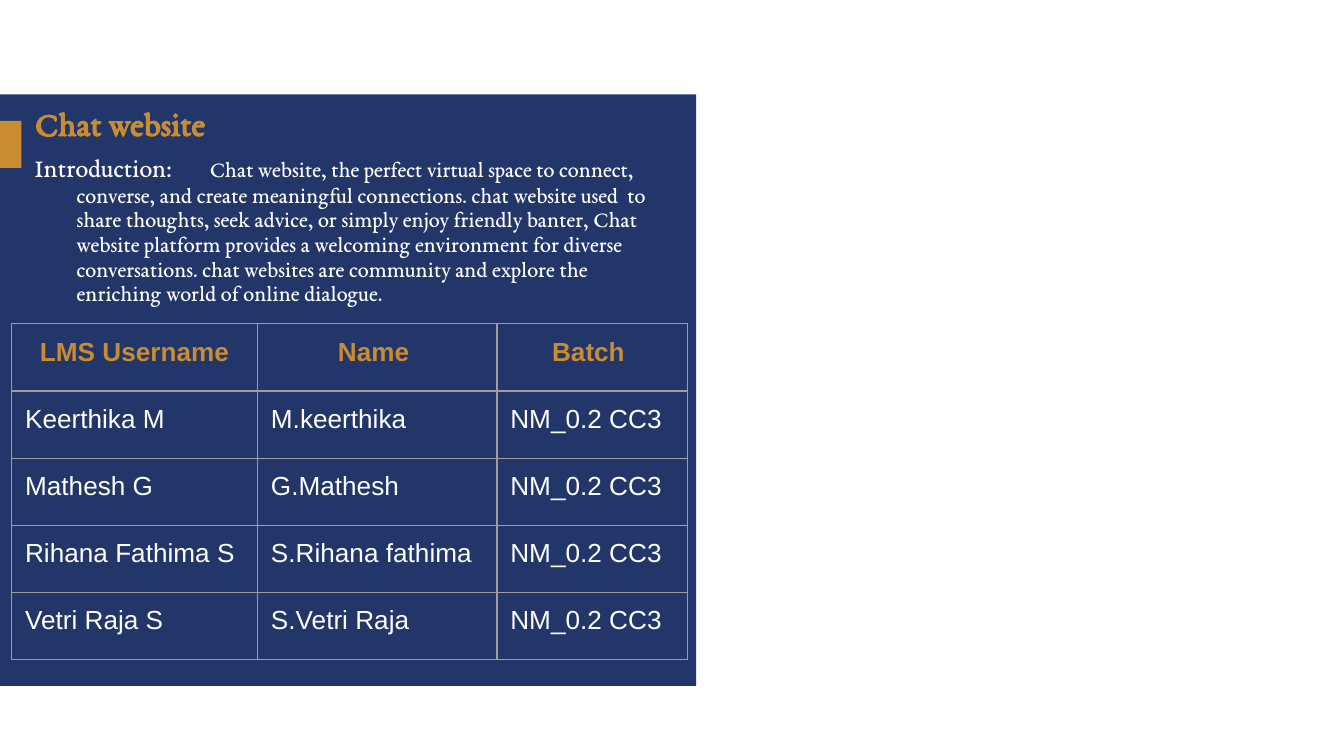
"""Build the chat website introduction slide."""
from dataclasses import dataclass

from lxml import etree
from pptx import Presentation
from pptx.dml.color import RGBColor
from pptx.enum.shapes import MSO_SHAPE
from pptx.enum.text import MSO_ANCHOR, MSO_AUTO_SIZE, PP_ALIGN
from pptx.oxml.ns import qn
from pptx.util import Pt

RECTANGLE = MSO_SHAPE.RECTANGLE
MIDDLE, TOP = MSO_ANCHOR.MIDDLE, MSO_ANCHOR.TOP
NO_AUTOFIT = MSO_AUTO_SIZE.NONE
LEFT, CENTER = PP_ALIGN.LEFT, PP_ALIGN.CENTER
TITLE_ONLY = 5
BORDER_SIDES = ("a:lnL", "a:lnR", "a:lnT", "a:lnB")

INTRODUCTION = (
    "Chat website, the perfect virtual space to connect, converse, and create "
    "meaningful connections. chat website used  to share thoughts, seek advice, "
    "or simply enjoy friendly banter, Chat website platform provides a welcoming "
    "environment for diverse conversations. chat websites are community and "
    "explore the enriching world of online dialogue."
)
BATCH = "NM_0.2 CC3"
MEMBERS = [
    ("LMS Username", "Name ", "Batch "),
    ("Keerthika M", "M.keerthika", BATCH),
    ("Mathesh G", "G.Mathesh", BATCH),
    ("Rihana Fathima S", "S.Rihana fathima", BATCH),
    ("Vetri Raja S", "S.Vetri Raja", BATCH),
]


@dataclass(frozen=True)
class Theme:
    """Colours, fonts and type sizes."""

    navy: str = "223669"
    gold: str = "C88C32"
    white: str = "FFFFFF"
    border: str = "9E9E9E"
    serif: str = "EB Garamond"
    sans: str = "Arial"
    title: float = 18.3
    label: float = 14
    body: float = 12
    border_width: float = 0.75
    cell_margin: float = 7.2


class SlideBuilder:
    """Draws styled elements on one slide, measured in points."""

    def __init__(self, slide, theme):
        self.slide = slide
        self.theme = theme

    def style(self, font, name, size, color, bold=False):
        """Set the look of a font."""
        font.name, font.size, font.bold = name, Pt(size), bold
        font.color.rgb = RGBColor.from_string(color)

    def block(self, box, color):
        """Draw a plain filled rectangle."""
        block = self.slide.shapes.add_shape(RECTANGLE, *map(Pt, box))
        block.shadow.inherit = False
        block.fill.solid()
        block.fill.fore_color.rgb = RGBColor.from_string(color)
        block.line.fill.background()

    def title(self, box, text):
        """Place the title placeholder in front of the blocks."""
        title = self.slide.shapes.title
        title.left, title.top, title.width, title.height = map(Pt, box)
        title.element.getparent().append(title.element)
        frame = title.text_frame
        frame.text = text
        frame.auto_size, frame.vertical_anchor = NO_AUTOFIT, MIDDLE
        heading = frame.paragraphs[0]
        heading.alignment = LEFT
        self.style(heading.font, self.theme.serif, self.theme.title, self.theme.gold, True)

    def labelled_text(self, box, label, text, gap, indent):
        """Write a hanging paragraph that opens with a larger label."""
        frame = self.slide.shapes.add_textbox(*map(Pt, box)).text_frame
        frame.word_wrap, frame.vertical_anchor = True, TOP
        paragraph = frame.paragraphs[0]
        paragraph.line_spacing = 0.92
        properties = paragraph._p.get_or_add_pPr()
        properties.set("marL", str(Pt(indent)))
        properties.set("indent", str(-Pt(indent)))
        sizes = self.theme.label, self.theme.label, self.theme.body
        for part, size in zip((label, " ", text), sizes):
            run = paragraph.add_run()
            run.text = part
            self.style(run.font, self.theme.serif, size, self.theme.white)
        spacer = paragraph.runs[1]
        spacer._r.get_or_add_rPr().set("spc", str(round(gap * 100)))

    def border(self, cell):
        """Outline all four sides of a cell."""
        properties = cell._tc.get_or_add_tcPr()
        for position, side in enumerate(BORDER_SIDES):
            line = etree.Element(qn(side), w=str(Pt(self.theme.border_width)))
            fill = etree.SubElement(line, qn("a:solidFill"))
            etree.SubElement(fill, qn("a:srgbClr"), val=self.theme.border)
            properties.insert(position, line)

    def table(self, left, top, widths, row_height, rows):
        """Draw a bordered table with a gold header row."""
        theme = self.theme
        box = left, top, sum(widths), row_height * len(rows)
        table = self.slide.shapes.add_table(len(rows), len(widths), *map(Pt, box)).table
        table.first_row = table.horz_banding = False
        for column, width in zip(table.columns, widths):
            column.width = Pt(width)
        for row_index, row in enumerate(rows):
            header = row_index == 0
            for column_index, text in enumerate(row):
                cell = table.cell(row_index, column_index)
                cell.text = text
                cell.fill.background()
                cell.margin_left = cell.margin_right = Pt(theme.cell_margin)
                cell.margin_top = cell.margin_bottom = Pt(theme.cell_margin)
                self.border(cell)
                paragraph = cell.text_frame.paragraphs[0]
                paragraph.alignment = CENTER if header else LEFT
                color = theme.gold if header else theme.white
                self.style(paragraph.font, theme.sans, theme.label, color, header)


def main():
    """Build and save the slide."""
    presentation = Presentation()
    presentation.slide_width, presentation.slide_height = Pt(720), Pt(405)
    slide = presentation.slides.add_slide(presentation.slide_layouts[TITLE_ONLY])
    theme = Theme()
    builder = SlideBuilder(slide, theme)
    builder.block((0, 50.5, 373, 317), theme.navy)
    builder.block((0, 64.75, 11.5, 25.25), theme.gold)
    builder.title((11.5, 54, 269.5, 23), "Chat website")
    builder.labelled_text(
        (11.5, 79.2, 356.5, 256.3), "Introduction:", INTRODUCTION, gap=17.4, indent=22.5
    )
    builder.table(6.25, 173.5, (131.75, 128.25, 102), 36, MEMBERS)
    presentation.save("out.pptx")


if __name__ == "__main__":
    main()
